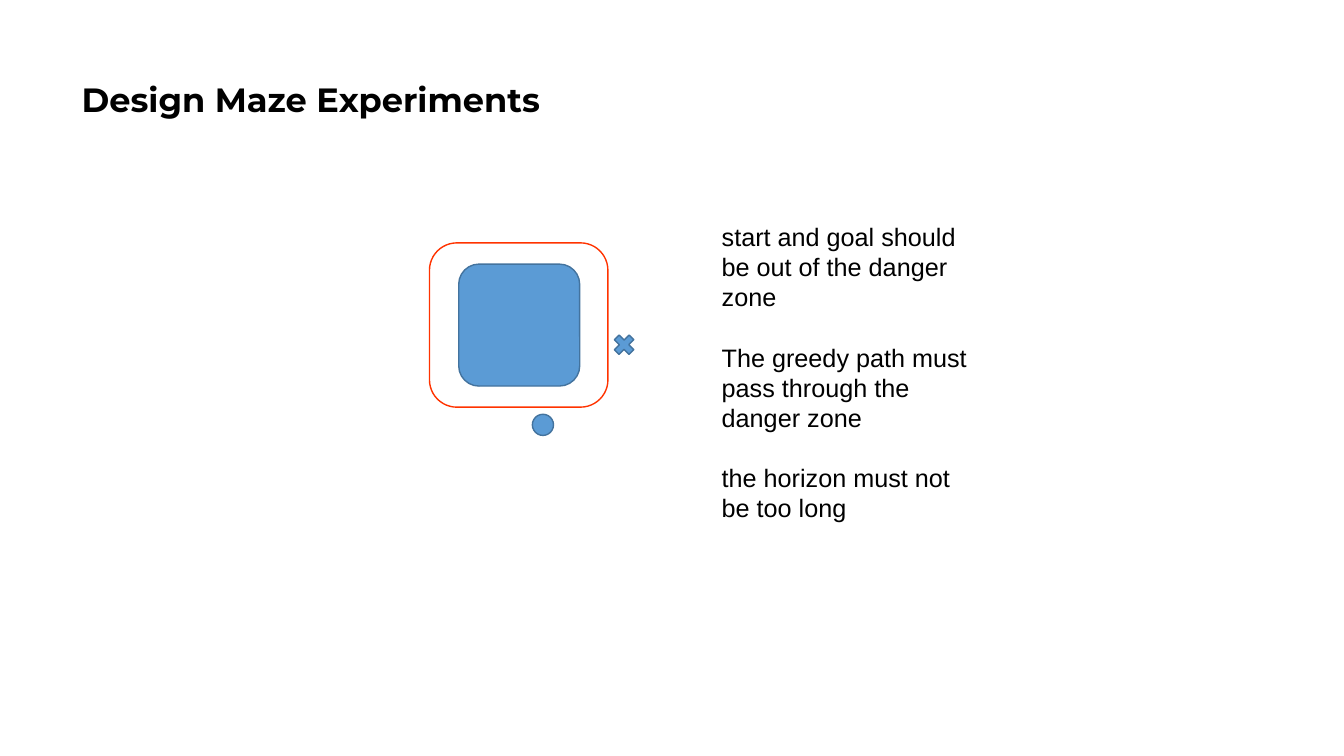
from pptx import Presentation, util as u
from pptx.dml.color import RGBColor
from pptx.enum import shapes, text

WIDE, HIGH = 13.33, 7.5
PITCH = 21.5
HUES = {"ink": "000000", "blue": "5B9BD5", "edge": "43739E", "danger": "FF3300"}
RULES = [
    "start and goal should be out of the danger zone",
    "The greedy path must pass through the danger zone",
    "the horizon must not be too long",
]


def hue(name):
    return RGBColor.from_string(HUES[name])


def write(para, words, face, size, bold=False):
    run = para.add_run()
    run.text = words
    run.font.name, run.font.size, run.font.bold = face, u.Pt(size), bold
    run.font.color.rgb = hue("ink")


def add_head(slide, box):
    title = slide.shapes.title
    title.left, title.top, title.width, title.height = map(u.Inches, box)
    frame = title.text_frame
    frame.word_wrap = True
    frame.vertical_anchor = text.MSO_ANCHOR.MIDDLE
    para = frame.paragraphs[0]
    para.alignment = text.PP_ALIGN.LEFT
    para.line_spacing = 0.9
    write(para, "Design Maze Experiments", "Montserrat", 24, True)


def add_maze(slide, box):
    left, top, width, height = box
    kind = shapes.MSO_SHAPE
    block = (kind.ROUNDED_RECTANGLE, (0.29, 0.21, 1.2, 1.21), "blue", "edge")
    zone = (kind.ROUNDED_RECTANGLE, (0, 0, width, height), None, "danger")
    start = (kind.OVAL, (1.02, height + 0.07, 0.21, 0.21), "blue", "edge")
    goal = (kind.MATH_MULTIPLY, (width + 0.02, 0.87, 0.28, 0.28), "blue", "edge")
    for form, (x, y, w, h), fill, line in (block, zone, start, goal):
        spot = map(u.Inches, (left + x, top + y, w, h))
        part = slide.shapes.add_shape(form, *spot)
        part.shadow.inherit = False
        if fill:
            part.fill.solid()
            part.fill.fore_color.rgb = hue(fill)
        else:
            part.fill.background()
        part.line.color.rgb = hue(line)
        part.line.width = u.Pt(1)


def add_rules(slide, box):
    note = slide.shapes.add_textbox(*map(u.Inches, box))
    frame = note.text_frame
    frame.word_wrap = True
    for i, rule in enumerate(RULES):
        para = frame.add_paragraph() if i else frame.paragraphs[0]
        para.line_spacing = u.Pt(PITCH)
        if i:
            para.space_before = u.Pt(PITCH)
        write(para, rule, "Arial", 18)


def main():
    deck = Presentation()
    deck.slide_width, deck.slide_height = u.Inches(WIDE), u.Inches(HIGH)
    slide = deck.slides.add_slide(deck.slide_layouts[5])
    add_head(slide, (0.71, 0.28, 11.5, 1.45))
    add_maze(slide, (4.26, 2.41, 1.77, 1.63))
    add_rules(slide, (7.06, 2.15, 2.76, 3.13))
    deck.save("out.pptx")


if __name__ == "__main__":
    main()
